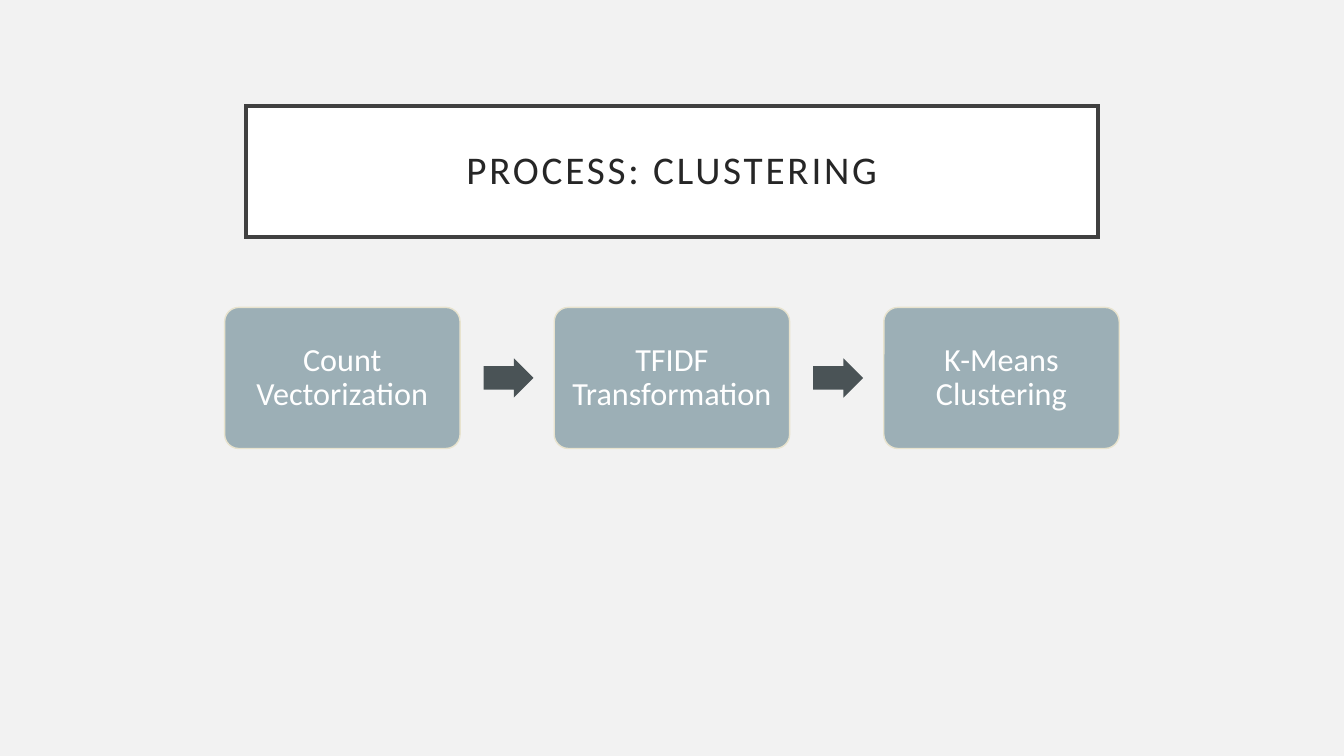
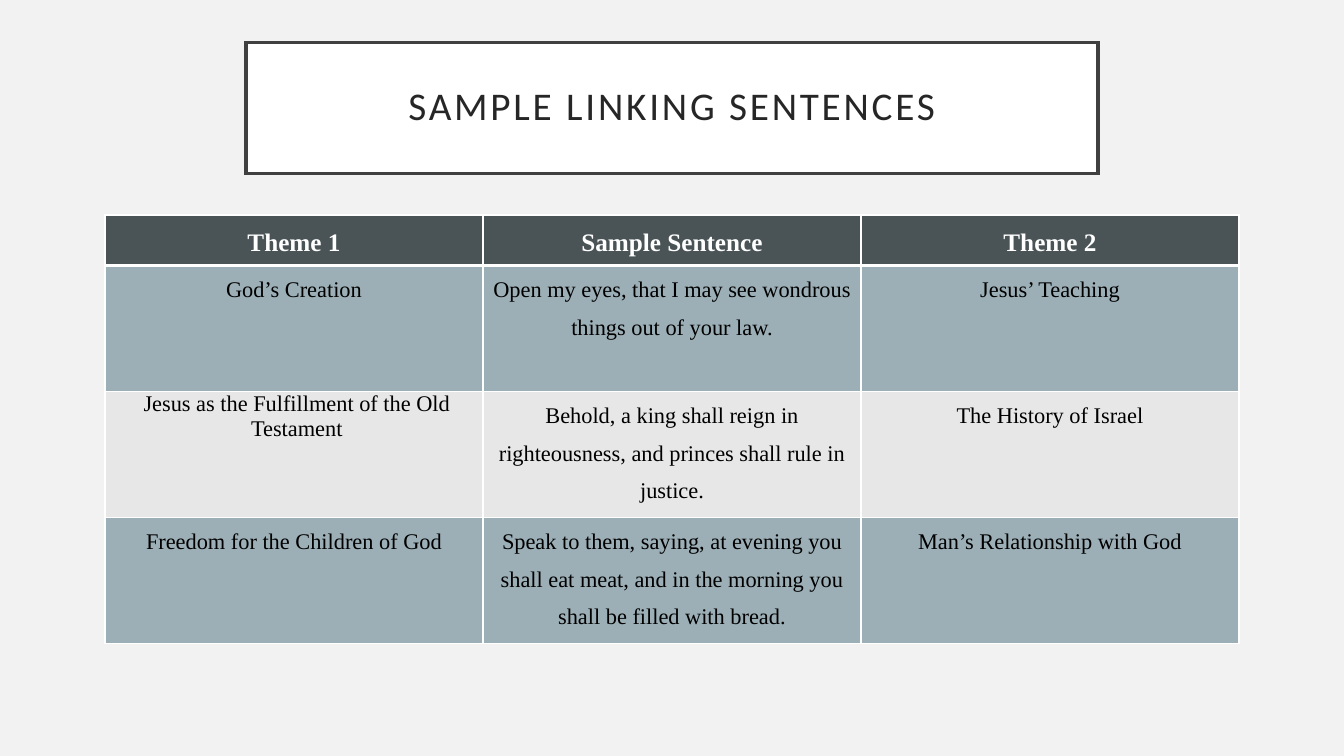
from lxml import etree
from pptx import Presentation
from pptx.dml.color import RGBColor
from pptx.enum import shapes, text
from pptx.oxml import ns
from pptx.util import Pt

BACKGROUND, WHITE, BLACK = "F2F2F2", "FFFFFF", "000000"
FRAME, TITLE_INK = "404040", "262626"
SLATE, MIST, PALE, CREAM = "4A5356", "9CAFB6", "E7E7E7", "E8E3CE"
SANS, SERIF = "Calibri", "Times New Roman"

STEPS = ["Count Vectorization", "TFIDF Transformation", "K-Means Clustering"]
LINKS = [
    ["Theme 1", "Sample Sentence", "Theme 2"],
    ["God’s Creation",
     "Open my eyes, that I may see wondrous things out of your law.",
     "Jesus’ Teaching"],
    ["Jesus as the Fulfillment of the Old Testament",
     "Behold, a king shall reign in righteousness, and princes shall rule in justice.",
     "The History of Israel"],
    ["Freedom for the Children of God",
     "Speak to them, saying, at evening you shall eat meat, "
     "and in the morning you shall be filled with bread.",
     "Man’s Relationship with God"],
]


def color(value):
    """Return the colour for a hex string."""
    return RGBColor.from_string(value)


def paint(shape, fill, line=None, width=1):
    """Set the fill and outline of a shape."""
    shape.fill.solid()
    shape.fill.fore_color.rgb = color(fill)
    if line:
        shape.line.color.rgb = color(line)
        shape.line.width = Pt(width)
    else:
        shape.line.fill.background()


def write(frame, words, size, ink, font=SANS, bold=False, spacing=0.9):
    """Write one centred paragraph into a text frame and return its run."""
    paragraph = frame.paragraphs[0]
    paragraph.alignment = text.PP_ALIGN.CENTER
    paragraph.line_spacing = spacing
    run = paragraph.add_run()
    run.text = words
    run.font.name = font
    run.font.size = Pt(size)
    run.font.bold = bold
    run.font.color.rgb = color(ink)
    return run


def set_frame(frame, margin):
    """Centre a wrapping text frame vertically with equal margins."""
    frame.word_wrap = True
    frame.auto_size = text.MSO_AUTO_SIZE.NONE
    frame.vertical_anchor = text.MSO_ANCHOR.MIDDLE
    frame.margin_left = frame.margin_right = Pt(margin)
    frame.margin_top = frame.margin_bottom = Pt(margin)


def add_titled_slide(presentation, words, top):
    """Add a slide with a framed, letter-spaced title."""
    slide = presentation.slides.add_slide(presentation.slide_layouts[5])
    title = slide.shapes.title
    title.left, title.top, title.width, title.height = Pt(175.6), Pt(top), Pt(608.8), Pt(93.6)
    paint(title, WHITE, FRAME, 2.5)
    outline = title._element.spPr.find(ns.qn("a:ln"))
    etree.SubElement(outline, ns.qn("a:miter"), lim="800000")
    set_frame(title.text_frame, 14.4)
    run = write(title.text_frame, words, 28, TITLE_INK)
    run.font._element.set("spc", "200")
    return slide


def add_process(slide, steps, left, top, width, height):
    """Fill a box with equal cards joined by block arrows."""
    gap_share = 0.4
    card_width = width / (len(steps) + gap_share * (len(steps) - 1))
    arrow_width, arrow_height = 35.6, 28
    for index, step in enumerate(steps):
        x = left + index * card_width * (1 + gap_share)
        card = slide.shapes.add_shape(
            shapes.MSO_SHAPE.ROUNDED_RECTANGLE, Pt(x), Pt(top), Pt(card_width), Pt(height))
        card.shadow.inherit = False
        card.adjustments[0] = 0.1
        paint(card, MIST, CREAM)
        set_frame(card.text_frame, 5)
        write(card.text_frame, step, 23, WHITE)
        if index < len(steps) - 1:
            arrow = slide.shapes.add_shape(
                shapes.MSO_SHAPE.RIGHT_ARROW, Pt(x + card_width * 1.1),
                Pt(top + (height - arrow_height) / 2), Pt(arrow_width), Pt(arrow_height))
            arrow.shadow.inherit = False
            arrow.adjustments[0], arrow.adjustments[1] = 0.6, 0.5
            paint(arrow, SLATE)


def set_borders(cell, widths):
    """Draw white cell borders with a width for each side."""
    properties = cell._tc.get_or_add_tcPr()
    for side, width in widths.items():
        line = etree.SubElement(properties, ns.qn(f"a:ln{side}"), w=str(Pt(width)))
        fill = etree.SubElement(line, ns.qn("a:solidFill"))
        etree.SubElement(fill, ns.qn("a:srgbClr"), val=WHITE)


def add_link_table(slide, rows, left, top, width, header_height, row_height):
    """Add a table with a dark header and alternating body rows."""
    height = header_height + row_height * (len(rows) - 1)
    table = slide.shapes.add_table(
        len(rows), len(rows[0]), Pt(left), Pt(top), Pt(width), Pt(height)).table
    for column in table.columns:
        column.width = Pt(width / len(rows[0]))
    for row_index, row in enumerate(rows):
        header = row_index == 0
        table.rows[row_index].height = Pt(header_height if header else row_height)
        fill = SLATE if header else MIST if row_index % 2 else PALE
        for column_index, words in enumerate(row):
            cell = table.cell(row_index, column_index)
            single_spaced = (row_index, column_index) == (2, 0)
            cell.margin_left = Pt(9 if single_spaced else 5)
            cell.margin_right = Pt(5)
            cell.margin_top = cell.margin_bottom = 0
            set_borders(cell, {"L": 1, "R": 1, "T": 1, "B": 3 if header else 1})
            cell.fill.solid()
            cell.fill.fore_color.rgb = color(fill)
            write(cell.text_frame, words, 18 if header else 16, WHITE if header else BLACK,
                  SERIF, header, 1.0 if single_spaced else 1.5)


def main():
    """Build and save the presentation."""
    presentation = Presentation()
    presentation.slide_width, presentation.slide_height = Pt(960), Pt(540)
    background = presentation.slide_master.background.fill
    background.solid()
    background.fore_color.rgb = color(BACKGROUND)

    process = add_titled_slide(presentation, "PROCESS: CLUSTERING", 75.8)
    add_process(process, STEPS, 160.5, 219.6, 639, 100.8)

    links = add_titled_slide(presentation, "SAMPLE LINKING SENTENCES", 30.2)
    add_link_table(links, LINKS, 75, 153.6, 810, 36, 90)
    presentation.save("out.pptx")


if __name__ == "__main__":
    main()
